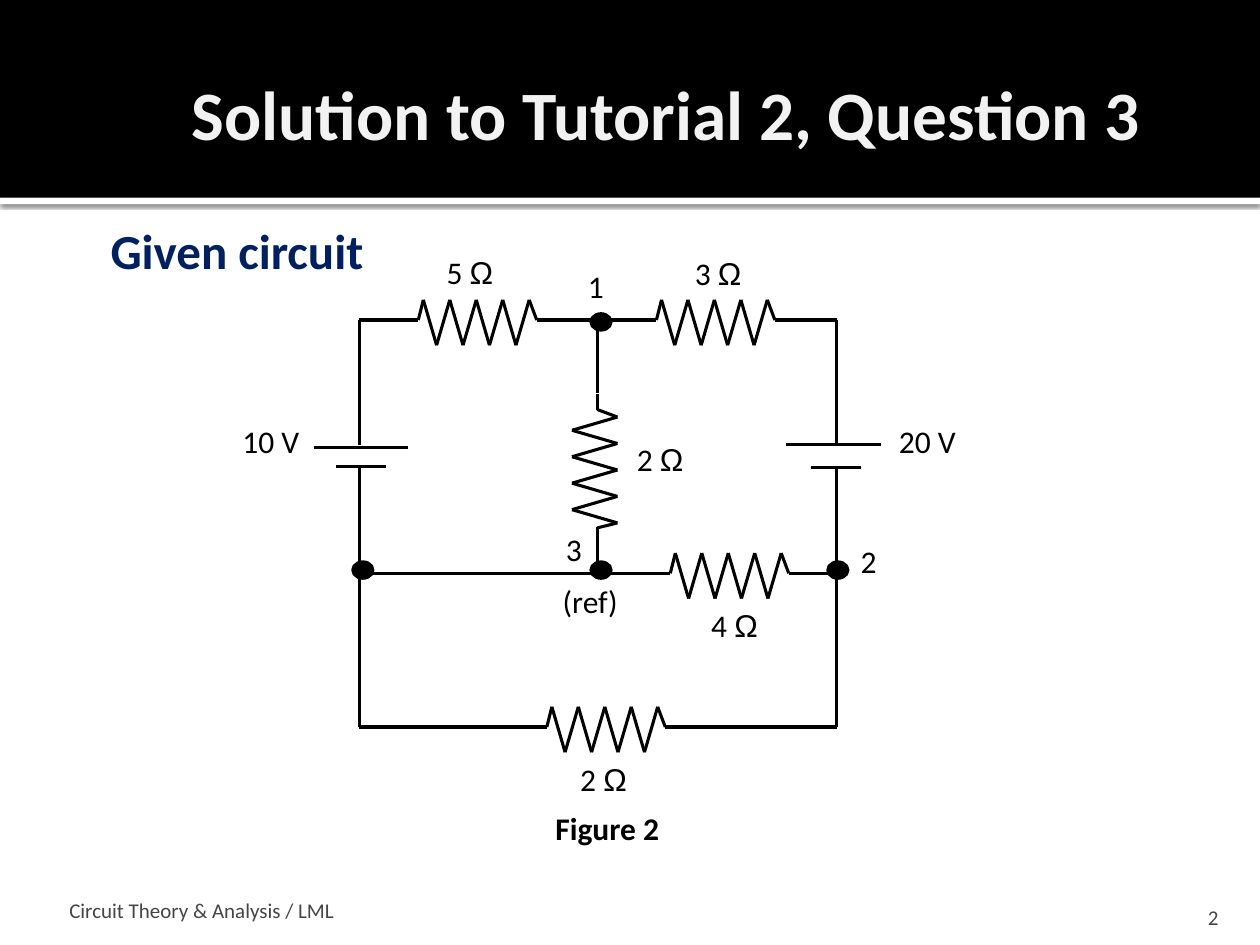
from itertools import pairwise

from lxml import etree
from pptx import Presentation
from pptx.dml.color import RGBColor
from pptx.enum import shapes as kinds, text
from pptx.oxml.ns import qn
from pptx.util import Inches, Pt

BLACK = RGBColor(0, 0, 0)
WHITE = RGBColor(255, 255, 255)
TITLE_GREY = RGBColor(0xF2, 0xF2, 0xF2)
FOOTER_GREY = RGBColor(0x45, 0x45, 0x45)
NAVY = RGBColor(0x00, 0x20, 0x60)


def add_wire(parent, x1, y1, x2, y2):
    wire = parent.add_connector(
        kinds.MSO_CONNECTOR.STRAIGHT, Inches(x1), Inches(y1), Inches(x2), Inches(y2))
    wire.line.color.rgb = BLACK
    wire.line.width = Pt(1.75)
    etree.SubElement(wire._element.spPr, qn("a:effectLst"))


def add_label(words, left, top, width, height=0.3, size=18, color=BLACK, bold=False,
              align=text.PP_ALIGN.CENTER, anchor=text.MSO_ANCHOR.TOP, wrap=False):
    """Text without margins; a closing ohm sign is set in Arial."""
    box = slide.shapes.add_textbox(Inches(left), Inches(top), Inches(width), Inches(height))
    frame = box.text_frame
    frame.margin_left = frame.margin_right = frame.margin_top = frame.margin_bottom = 0
    frame.word_wrap = wrap
    frame.vertical_anchor = anchor
    paragraph = frame.paragraphs[0]
    paragraph.alignment = align
    number, ohm, _ = words.partition("Ω")
    for part, font_name in ((number, "Calibri"), (ohm, "Arial")):
        if part:
            run = paragraph.add_run()
            run.text = part
            run.font.name = font_name
            run.font.size = Pt(size)
            run.font.bold = bold
            run.font.color.rgb = color


prs = Presentation()
prs.slide_width, prs.slide_height = Inches(10), Inches(7.5)
slide = prs.slides.add_slide(prs.slide_layouts[6])

# Title band with a white, shadowed edge below it
for top, height, color in ((1.57, 0.05, WHITE), (0, 1.57, BLACK)):
    band = slide.shapes.add_shape(
        kinds.MSO_SHAPE.RECTANGLE, 0, Inches(top), Inches(10), Inches(height))
    band.shadow.inherit = False
    band.fill.solid()
    band.fill.fore_color.rgb = color
    band.line.fill.background()
    if color == WHITE:
        effects = band._element.spPr.find(qn("a:effectLst"))
        shadow = etree.SubElement(effects, qn("a:outerShdw"), blurRad=str(Pt(2.5)),
                                  dist=str(Pt(0.8)), dir="5400000", rotWithShape="0")
        shade = etree.SubElement(shadow, qn("a:srgbClr"), val="000000")
        etree.SubElement(shade, qn("a:alpha"), val="60000")

add_label("Solution to Tutorial 2, Question 3", 1.52, 0.26, 7.8, 1.27, 39.6, TITLE_GREY, True,
          text.PP_ALIGN.LEFT, text.MSO_ANCHOR.MIDDLE, True)
add_label("Given circuit", 0.69, 1.75, 2.38, 0.47, 28, NAVY, True)

# Wires of the circuit
LEFT, MIDDLE, RIGHT = 2.85, 4.74, 6.64
TOP, CENTRE, BOTTOM = 2.54, 4.55, 5.77
wires = [
    (LEFT, TOP, 3.24, TOP), (4.34, TOP, 5.15, TOP), (6.23, TOP, RIGHT, TOP),
    (LEFT, CENTRE, 5.32, CENTRE), (6.27, CENTRE, RIGHT, CENTRE),
    (LEFT, BOTTOM, 4.28, BOTTOM), (5.36, BOTTOM, RIGHT, BOTTOM),
    (LEFT, TOP, LEFT, 3.53), (LEFT, 3.7, LEFT, BOTTOM),
    (MIDDLE, TOP, MIDDLE, 3.12), (MIDDLE, 4.18, MIDDLE, CENTRE),
    (RIGHT, TOP, RIGHT, 3.53), (RIGHT, 3.7, RIGHT, BOTTOM),
]
battery_plates = [
    (2.49, 3.55, 3.24, 3.55), (2.67, 3.7, 3.06, 3.7),
    (6.24, 3.53, 6.99, 3.53), (6.44, 3.71, 6.83, 3.71),
]
for ends in wires + battery_plates:
    add_wire(slide.shapes, *ends)

# Resistors: distance along the lead, then offset to the side
zigzag = [(0.17 + 0.105 * i, 0.2 if i % 2 else -0.16) for i in range(9)]
resistor = [(0, 0), (0.13, 0), *zigzag, (1.07, 0), (1.19, 0)]
for x, y, upright in ((3.19, TOP, False), (5.08, TOP, False), (5.19, CENTRE, False),
                      (4.21, BOTTOM, False), (MIDDLE, 4.32, True)):
    group = slide.shapes.add_group_shape()
    points = [(x - side, y - along) if upright else (x + along, y + side)
              for along, side in resistor]
    for start, end in pairwise(points):
        add_wire(group.shapes, *start, *end)

# Nodes
for left, top in ((4.69, 2.49), (2.8, 4.46), (4.69, 4.46), (6.57, 4.46)):
    node = slide.shapes.add_shape(
        kinds.MSO_SHAPE.OVAL, Inches(left), Inches(top), Inches(0.16), Inches(0.13))
    node.shadow.inherit = False
    node.fill.solid()
    node.fill.fore_color.rgb = BLACK
    node.line.color.rgb = BLACK
    node.line.width = Pt(1.75)

for words, left, top, width in (
        ("5 Ω", 3.53, 2.01, 0.4), ("3 Ω", 5.5, 2.02, 0.4), ("2 Ω", 5.04, 3.49, 0.4),
        ("4 Ω", 5.63, 4.81, 0.4), ("2 Ω", 4.59, 6.03, 0.4),
        ("10 V", 1.89, 3.35, 0.52), ("20 V", 7.1, 3.35, 0.52),
        ("1", 4.66, 2.12, 0.14), ("2", 6.73, 4.3, 0.33), ("3", 4.48, 4.21, 0.15),
        ("(ref)", 4.45, 4.62, 0.47)):
    add_label(words, left, top, width)
add_label("Figure 2", 4.33, 6.42, 0.98, bold=True)

# Footer
add_label("Circuit Theory & Analysis / LML", 0.55, 7.07, 5.92, 0.25, 12, FOOTER_GREY,
          align=text.PP_ALIGN.LEFT, anchor=text.MSO_ANCHOR.BOTTOM, wrap=True)
add_label("2", 9.07, 7.13, 0.6, 0.25, 12, FOOTER_GREY,
          align=text.PP_ALIGN.RIGHT, anchor=text.MSO_ANCHOR.BOTTOM, wrap=True)

prs.save("out.pptx")
